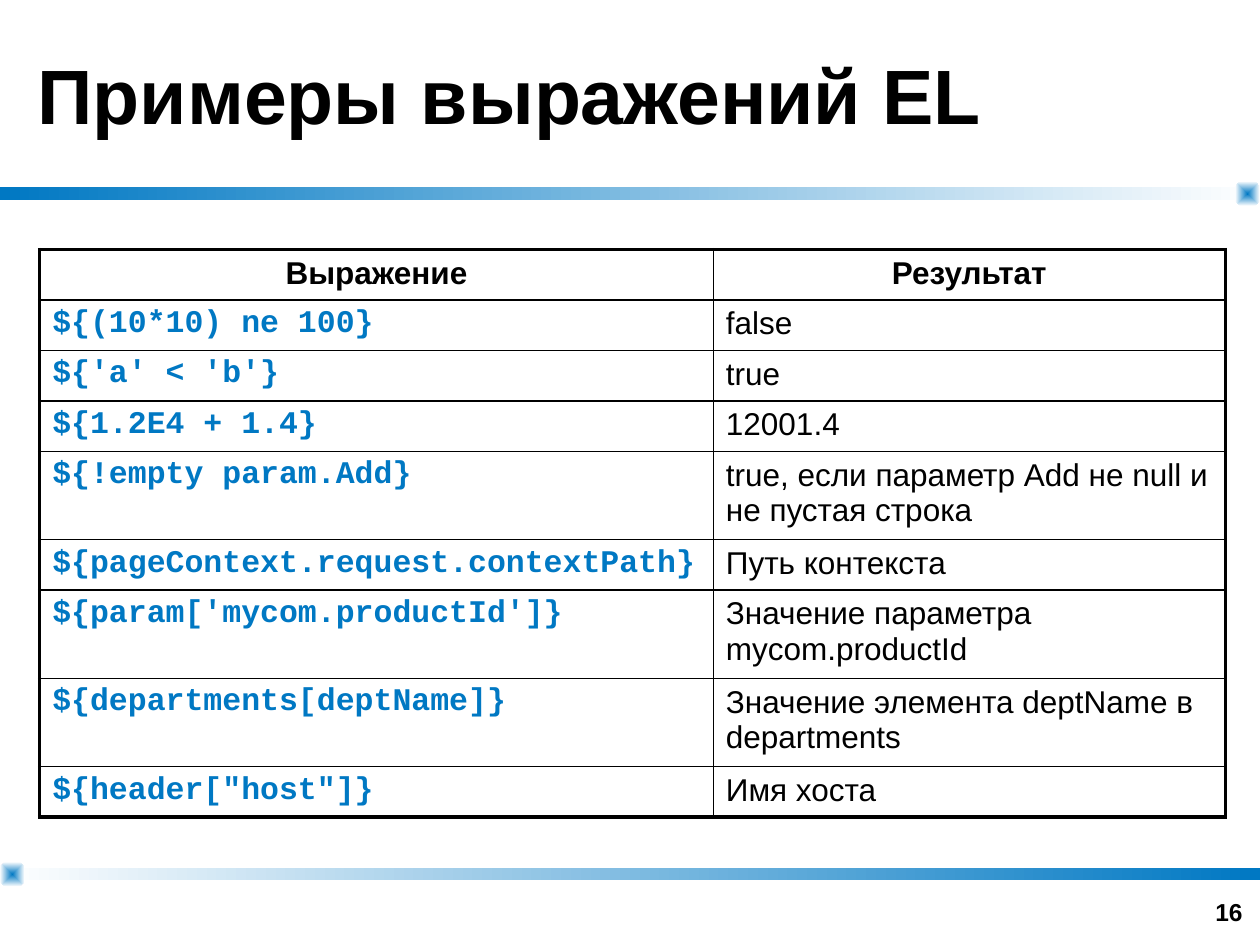
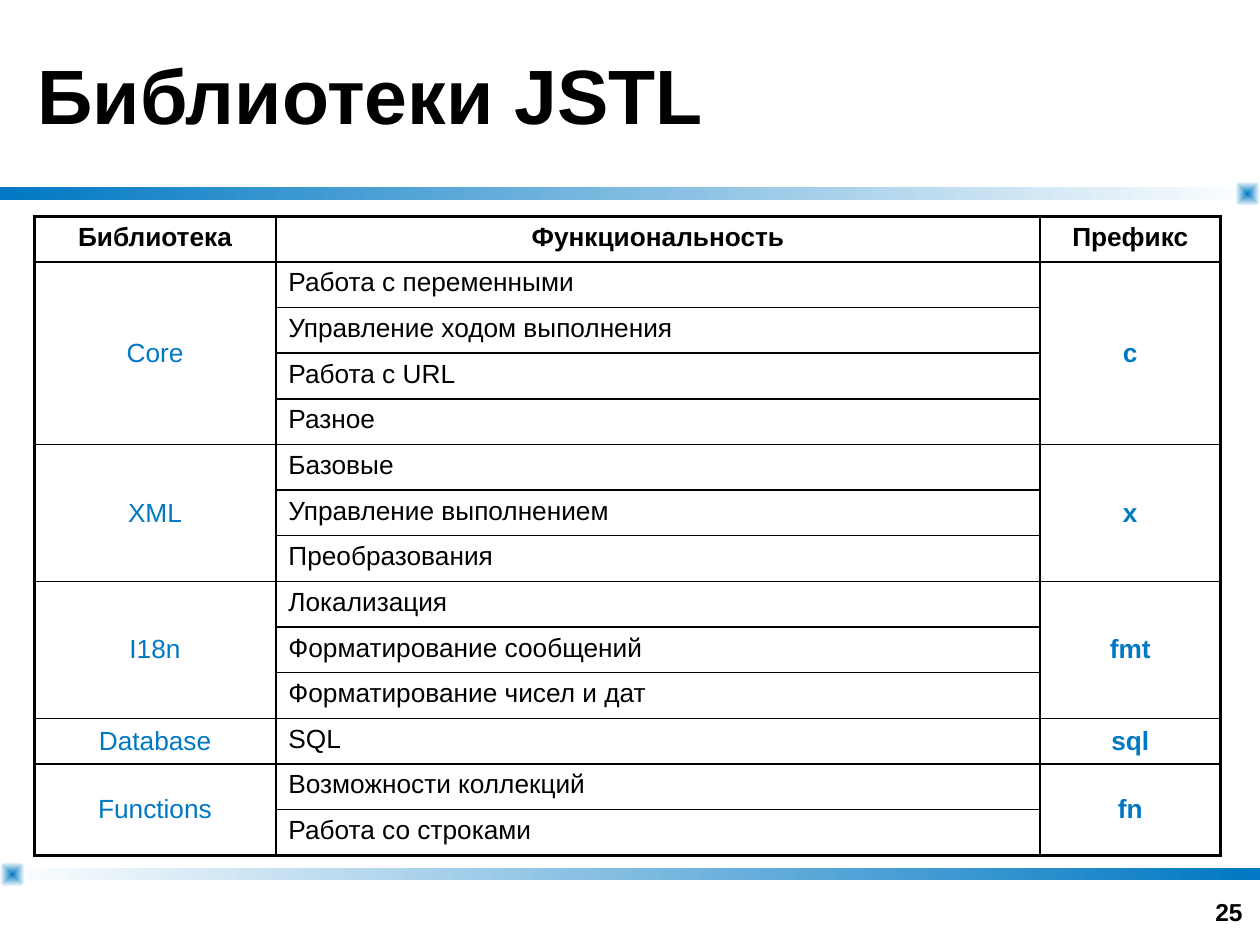
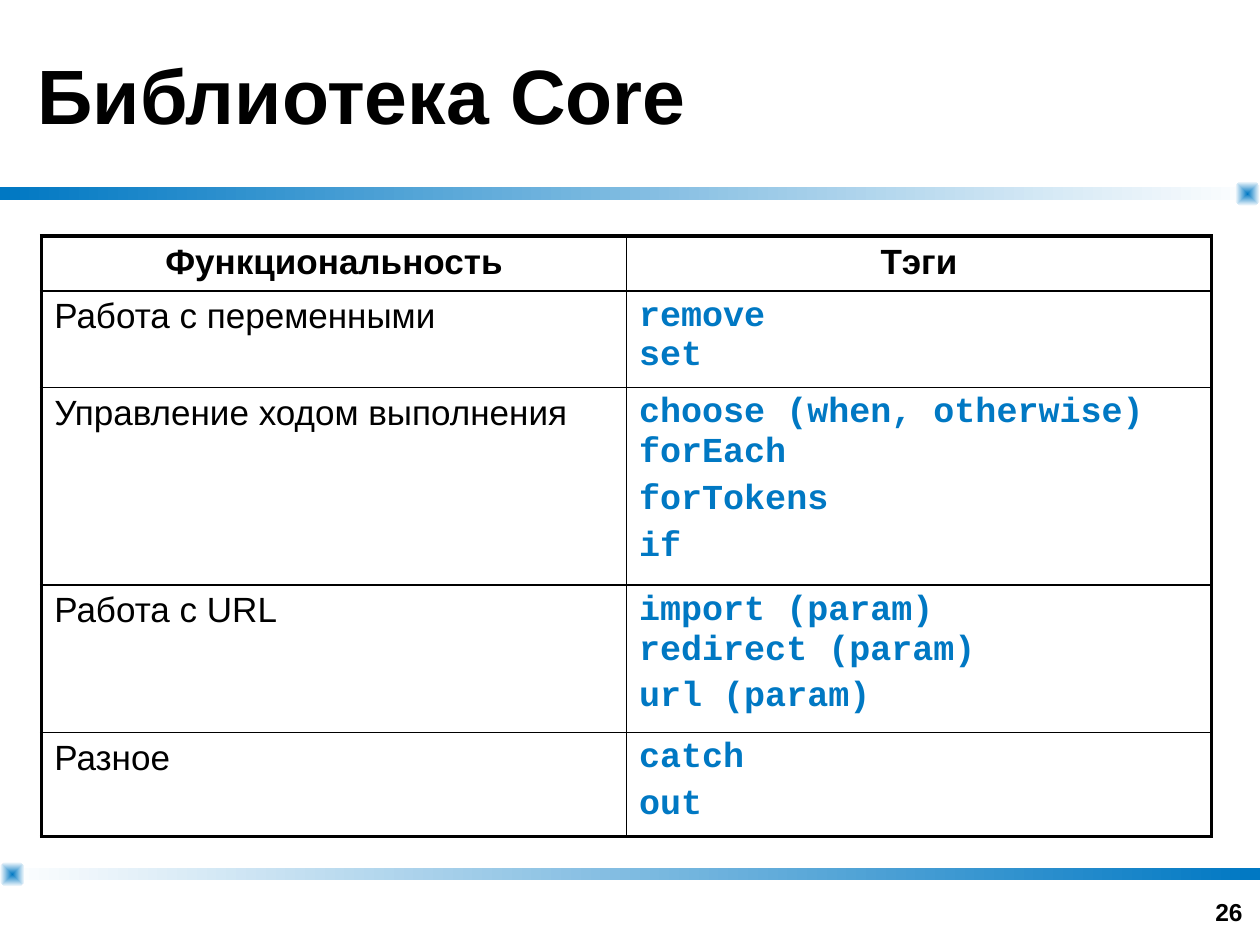
"""Build three slides of tables on expression language and tag libraries."""
from dataclasses import dataclass

from pptx import Presentation
from pptx.dml.color import RGBColor
from pptx.enum.shapes import MSO_SHAPE
from pptx.enum.text import MSO_ANCHOR, PP_ALIGN
from pptx.oxml import parse_xml
from pptx.oxml.ns import nsdecls, qn
from pptx.util import Cm, Pt

LEFT, CENTER, RIGHT = PP_ALIGN.LEFT, PP_ALIGN.CENTER, PP_ALIGN.RIGHT
TOP, MIDDLE, BOTTOM = MSO_ANCHOR.TOP, MSO_ANCHOR.MIDDLE, MSO_ANCHOR.BOTTOM
RECTANGLE, ROUNDED = MSO_SHAPE.RECTANGLE, MSO_SHAPE.ROUNDED_RECTANGLE

COLORS = {"text": "000000", "accent": "0078C3", "paper": "FFFFFF"}
PAGE_WIDTH, PAGE_HEIGHT = 25.4, 19.05
BAND_HEIGHT, KNOB_SIZE = 0.25, 0.5
THIN, THICK = 1, 2.25


@dataclass(frozen=True)
class Style:
    """How the text of a box or table column looks."""

    font: str = "Arial"
    color: str = "text"
    bold: bool = False
    align: PP_ALIGN = LEFT
    anchor: MSO_ANCHOR = TOP


@dataclass(frozen=True)
class Band:
    """A gradient band with a knob at its pale end."""

    top: float
    colors: tuple[str, str]
    knob_left: float


@dataclass(frozen=True)
class TablePage:
    """A titled slide with one table; None continues the cell above."""

    title: str
    number: int
    left: float
    top: float
    widths: tuple[float, ...]
    heights: tuple[float, ...]
    size: int
    styles: tuple[Style, ...]
    rows: tuple[tuple[str | None, ...], ...]


HEADER = Style(bold=True, align=CENTER)
PLAIN = Style()
CODE = Style(font="Courier New", color="accent", bold=True)
LIBRARY = Style(color="accent", align=CENTER, anchor=MIDDLE)
PREFIX = Style(color="accent", bold=True, align=CENTER, anchor=MIDDLE)
TITLE = Style(bold=True, anchor=MIDDLE)
NUMBER = Style(bold=True, align=RIGHT, anchor=BOTTOM)

BANDS = (
    Band(3.78, ("accent", "paper"), PAGE_WIDTH - KNOB_SIZE),
    Band(17.5, ("paper", "accent"), 0),
)

ONE_LINE, TWO_LINES = 0.98, 1.67
PAGES = (
    TablePage(
        "Примеры выражений EL", 16, 0.8, 5.03, (13.58, 10.32),
        (ONE_LINE,) * 4 + (TWO_LINES, ONE_LINE, TWO_LINES, TWO_LINES, ONE_LINE),
        18, (CODE, PLAIN),
        (
            ("Выражение", "Результат"),
            ("${(10*10) ne 100}", "false"),
            ("${'a' < 'b'}", "true"),
            ("${1.2E4 + 1.4}", "12001.4"),
            ("${!empty param.Add}", "true, если параметр Add не null и не пустая строка"),
            ("${pageContext.request.contextPath}", "Путь контекста"),
            ("${param['mycom.productId']}", "Значение параметра mycom.productId"),
            ("${departments[deptName]}", "Значение элемента deptName в departments"),
            ('${header["host"]}', "Имя хоста"),
        ),
    ),
    TablePage(
        "Библиотеки JSTL", 25, 0.69, 4.36, (4.87, 15.41, 3.63), (0.92,) * 14,
        15, (LIBRARY, PLAIN, PREFIX),
        (
            ("Библиотека", "Функциональность", "Префикс"),
            ("Core", "Работа с переменными", "c"),
            (None, "Управление ходом выполнения", None),
            (None, "Работа с URL", None),
            (None, "Разное", None),
            ("XML", "Базовые", "x"),
            (None, "Управление выполнением", None),
            (None, "Преобразования", None),
            ("I18n", "Локализация", "fmt"),
            (None, "Форматирование сообщений", None),
            (None, "Форматирование чисел и дат", None),
            ("Database", "SQL", "sql"),
            ("Functions", "Возможности коллекций", "fn"),
            (None, "Работа со строками", None),
        ),
    ),
    TablePage(
        "Библиотека Core", 26, 0.84, 4.76, (11.79, 11.79),
        (1.09, 1.95, 3.98, 2.97, 2.1), 20, (PLAIN, CODE),
        (
            ("Функциональность", "Тэги"),
            ("Работа с переменными", "remove\vset"),
            ("Управление ходом выполнения", "choose (when, otherwise)\vforEach\nforTokens\nif"),
            ("Работа с URL", "import (param)\vredirect (param)\nurl (param)"),
            ("Разное", "catch\nout"),
        ),
    ),
)


def rgb(name: str) -> RGBColor:
    """Look up a named colour."""
    return RGBColor.from_string(COLORS[name])


def write(frame, text: str, size: int, style: Style) -> None:
    """Fill a text frame with styled paragraphs."""
    frame.text = text
    frame.word_wrap = True
    for index, para in enumerate(frame.paragraphs):
        para.alignment = style.align
        para.font.name = style.font
        para.font.size = Pt(size)
        para.font.bold = style.bold
        para.font.color.rgb = rgb(style.color)
        if index:
            para.space_before = Pt(size * 0.2)


def add_text(page, text: str, place: tuple[float, ...], size: int, style: Style) -> None:
    """Add a wrapped text box."""
    box = page.shapes.add_textbox(*map(Cm, place))
    write(box.text_frame, text, size, style)
    box.text_frame.vertical_anchor = style.anchor


def add_gradient(page, kind: MSO_SHAPE, place: tuple[float, ...], colors: tuple[str, str]):
    """Add a borderless shape with a left-to-right gradient."""
    shape = page.shapes.add_shape(kind, *map(Cm, place))
    shape.shadow.inherit = False
    shape.line.fill.background()
    shape.fill.gradient()
    shape.fill.gradient_angle = 0
    for stop, color in zip(shape.fill.gradient_stops, colors):
        stop.color.rgb = rgb(color)
    return shape


def add_knob(page, left: float, middle: float) -> None:
    """Add a rounded square that fades from its centre."""
    place = (left, middle - KNOB_SIZE / 2, KNOB_SIZE, KNOB_SIZE)
    knob = add_gradient(page, ROUNDED, place, ("accent", "paper"))
    knob.adjustments[0] = 0.32
    gradient = knob.element.spPr.find(qn("a:gradFill"))
    gradient.remove(gradient.find(qn("a:lin")))
    gradient.append(parse_xml(
        f'<a:path {nsdecls("a")} path="shape">'
        '<a:fillToRect l="50000" t="50000" r="50000" b="50000"/></a:path>'
    ))


def set_borders(cell, widths: dict[str, float]) -> None:
    """Draw the cell's sides, keyed L, R, T and B in that order."""
    properties = cell._tc.get_or_add_tcPr()
    for index, (side, width) in enumerate(widths.items()):
        properties.insert(index, parse_xml(
            f'<a:ln{side} {nsdecls("a")} w="{Pt(width)}"><a:solidFill>'
            f'<a:srgbClr val="{COLORS["text"]}"/></a:solidFill></a:ln{side}>'
        ))


def merge_continued(table, rows: tuple[tuple[str | None, ...], ...]) -> None:
    """Merge each cell with the None cells below it."""
    for column, values in enumerate(zip(*rows)):
        starts = [row for row, value in enumerate(values) if value is not None]
        for start, following in zip(starts, starts[1:] + [len(rows)]):
            if following - start > 1:
                table.cell(start, column).merge(table.cell(following - 1, column))


def add_grid(page, content: TablePage) -> None:
    """Add the table with a thick frame and thin inner lines."""
    row_count, column_count = len(content.rows), len(content.widths)
    place = (content.left, content.top, sum(content.widths), sum(content.heights))
    table = page.shapes.add_table(row_count, column_count, *map(Cm, place)).table
    table.first_row = table.horz_banding = False
    for column, width in zip(table.columns, content.widths):
        column.width = Cm(width)
    for row, height in zip(table.rows, content.heights):
        row.height = Cm(height)
    merge_continued(table, content.rows)
    for row, values in enumerate(content.rows):
        for column, value in enumerate(values):
            cell = table.cell(row, column)
            style = content.styles[column] if row else HEADER
            if value is not None:
                write(cell.text_frame, value, content.size, style)
            cell.vertical_anchor = style.anchor
            cell.fill.background()
            end = row + (cell.span_height if cell.is_merge_origin else 1)
            outer = {
                "L": column == 0,
                "R": column == column_count - 1,
                "T": row == 0,
                "B": end == row_count,
            }
            set_borders(cell, {side: THICK if edge else THIN for side, edge in outer.items()})


def add_page(deck, content: TablePage) -> None:
    """Add a slide with bands, title, number and table."""
    page = deck.slides.add_slide(deck.slide_layouts[6])
    for band in BANDS:
        add_gradient(page, RECTANGLE, (0, band.top, PAGE_WIDTH, BAND_HEIGHT), band.colors)
        add_knob(page, band.knob_left, band.top + BAND_HEIGHT / 2)
    add_text(page, content.title, (0.51, 0, 24.38, 3.78), 44, TITLE)
    add_text(page, str(content.number), (19.38, 17.53, 5.92, 1.27), 14, NUMBER)
    add_grid(page, content)


def main() -> None:
    """Build and save the deck."""
    deck = Presentation()
    deck.slide_width, deck.slide_height = Cm(PAGE_WIDTH), Cm(PAGE_HEIGHT)
    for content in PAGES:
        add_page(deck, content)
    deck.save("out.pptx")


if __name__ == "__main__":
    main()
